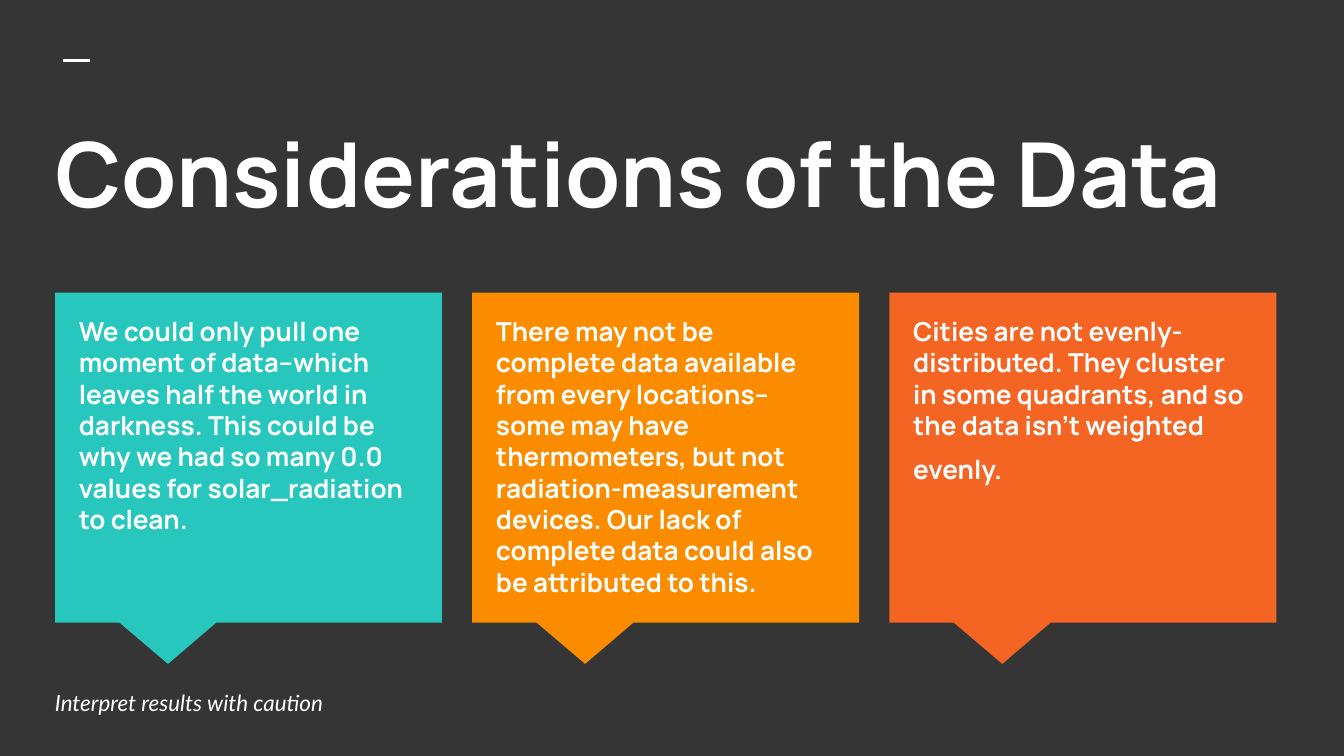
from lxml import etree
from pptx import Presentation
from pptx.dml.color import RGBColor
from pptx.enum import shapes, text
from pptx.oxml.ns import qn
from pptx.util import Cm, Pt

COLORS = {
    "background": "353535",
    "text": "FFFFFF",
    "teal": "27C7BD",
    "amber": "FB8C00",
    "orange": "F46524",
}

CONSIDERATIONS = [
    ("teal", "We could only pull one moment of data--which leaves half the world "
             "in darkness. This could be why we had so many 0.0 values for "
             "solar_radiation to clean."),
    ("amber", "There may not be complete data available from every locations--some "
              "may have thermometers, but not radiation-measurement devices. Our "
              "lack of complete data could also be attributed to this."),
    ("orange", "Cities are not evenly-distributed. They cluster in some quadrants, "
               "and so the data isn’t weighted evenly."),
]


def color(name):
    return RGBColor.from_string(COLORS[name])


def write(frame, words, font_name, size, bold=False, italic=False,
          anchor=text.MSO_ANCHOR.TOP):
    """Fill a text frame with one left-aligned paragraph and return it."""
    frame.word_wrap = True
    frame.auto_size = text.MSO_AUTO_SIZE.NONE
    frame.vertical_anchor = anchor
    frame.margin_left = frame.margin_right = Cm(0.25)
    frame.margin_top = frame.margin_bottom = Cm(0.25)
    paragraph = frame.paragraphs[0]
    paragraph.text = words
    paragraph.alignment = text.PP_ALIGN.LEFT
    font = paragraph.font
    font.name, font.size = font_name, Pt(size)
    font.bold, font.italic = bold, italic
    font.color.rgb = color("text")
    return paragraph


def add_header(slide, left, top, width, height):
    """Place the short accent rule and the slide title below it."""
    rule_left = left + Cm(0.4)
    rule = slide.shapes.add_connector(
        shapes.MSO_CONNECTOR.STRAIGHT, rule_left, top, rule_left + Cm(0.51), top)
    rule.line.color.rgb = color("text")
    rule.line.width = Pt(1.5)
    etree.SubElement(rule._element.spPr, qn("a:effectLst"))

    title = slide.shapes.title
    title_offset = Cm(0.84)
    title.left, title.top = left, top + title_offset
    title.width, title.height = width, height - title_offset
    write(title.text_frame, "Considerations of the Data", "Manrope", 48, bold=True)


def add_callout(slide, left, top, width, height, fill, words):
    callout = slide.shapes.add_shape(
        shapes.MSO_SHAPE.RECTANGULAR_CALLOUT, left, top, width, height)
    callout.adjustments[0] = -0.208
    callout.adjustments[1] = 0.625
    callout.shadow.inherit = False
    callout.fill.solid()
    callout.fill.fore_color.rgb = color(fill)
    callout.line.fill.background()

    body = slide.shapes.add_textbox(
        left + Cm(0.2), top + Cm(0.18), width - Cm(0.44), height - Cm(0.69))
    return write(body.text_frame, words, "Manrope", 14, bold=True)


def add_considerations(slide, left, top, width, height):
    """Spread the callouts evenly across the given box."""
    gap = Cm(0.57)
    count = len(CONSIDERATIONS)
    card_width = (width - gap * (count - 1)) // count
    for index, (fill, words) in enumerate(CONSIDERATIONS):
        card_left = left + index * (card_width + gap)
        paragraph = add_callout(slide, card_left, top, card_width, height, fill, words)
    # The last callout closes with a larger space that deepens its final line.
    closing_space = paragraph.add_run()
    closing_space.text = " "
    closing_space.font.size = Pt(21)


def add_caution(slide, left, top, width, height):
    caution = slide.shapes.add_textbox(left, top, width, height)
    write(caution.text_frame, "Interpret results with caution", "Lato", 12,
          italic=True, anchor=text.MSO_ANCHOR.MIDDLE)


def main():
    deck = Presentation()
    deck.slide_width, deck.slide_height = Cm(25.4), Cm(14.29)
    slide = deck.slides.add_slide(deck.slide_layouts.get_by_name("Title Only"))
    slide.background.fill.solid()
    slide.background.fill.fore_color.rgb = color("background")

    add_header(slide, Cm(0.79), Cm(1.14), Cm(23.95), Cm(3.68))
    add_considerations(slide, Cm(1.04), Cm(5.53), Cm(23.08), Cm(6.24))
    add_caution(slide, Cm(0.79), Cm(12.93), Cm(17.35), Cm(0.71))
    deck.save("out.pptx")


if __name__ == "__main__":
    main()
